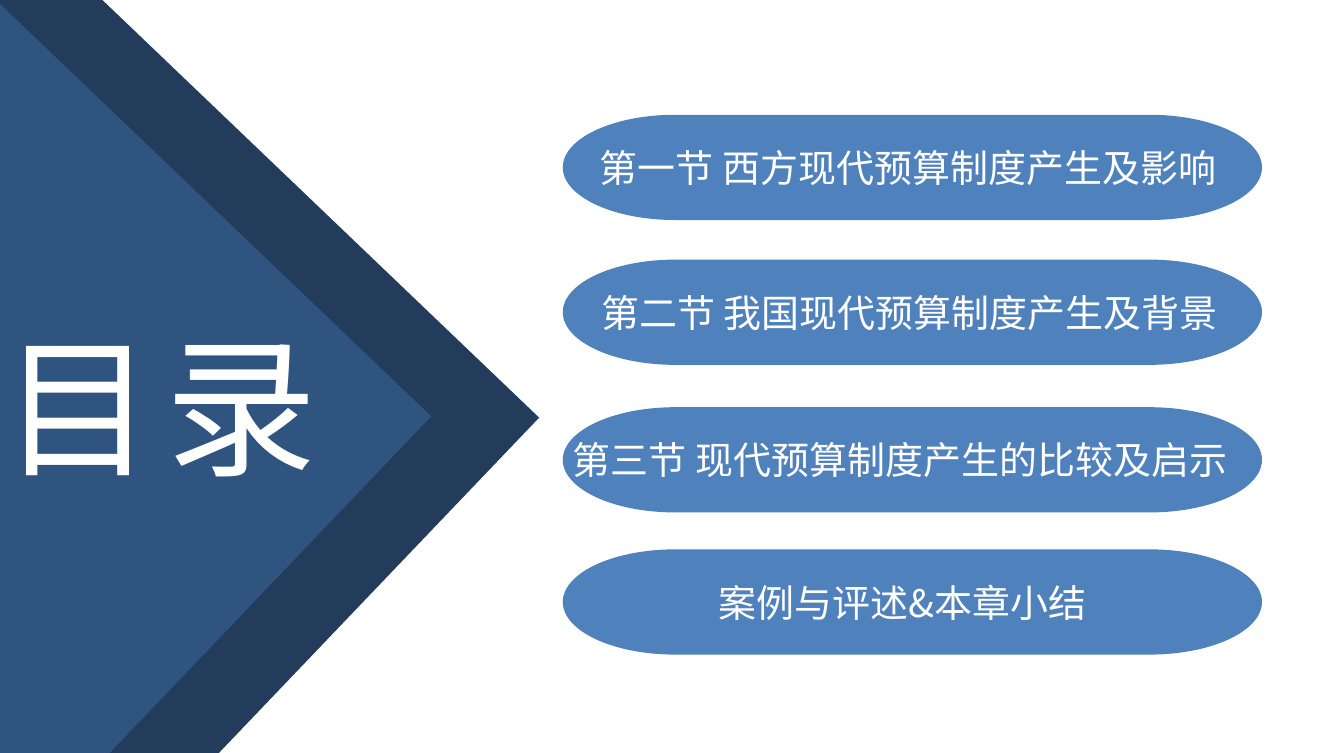
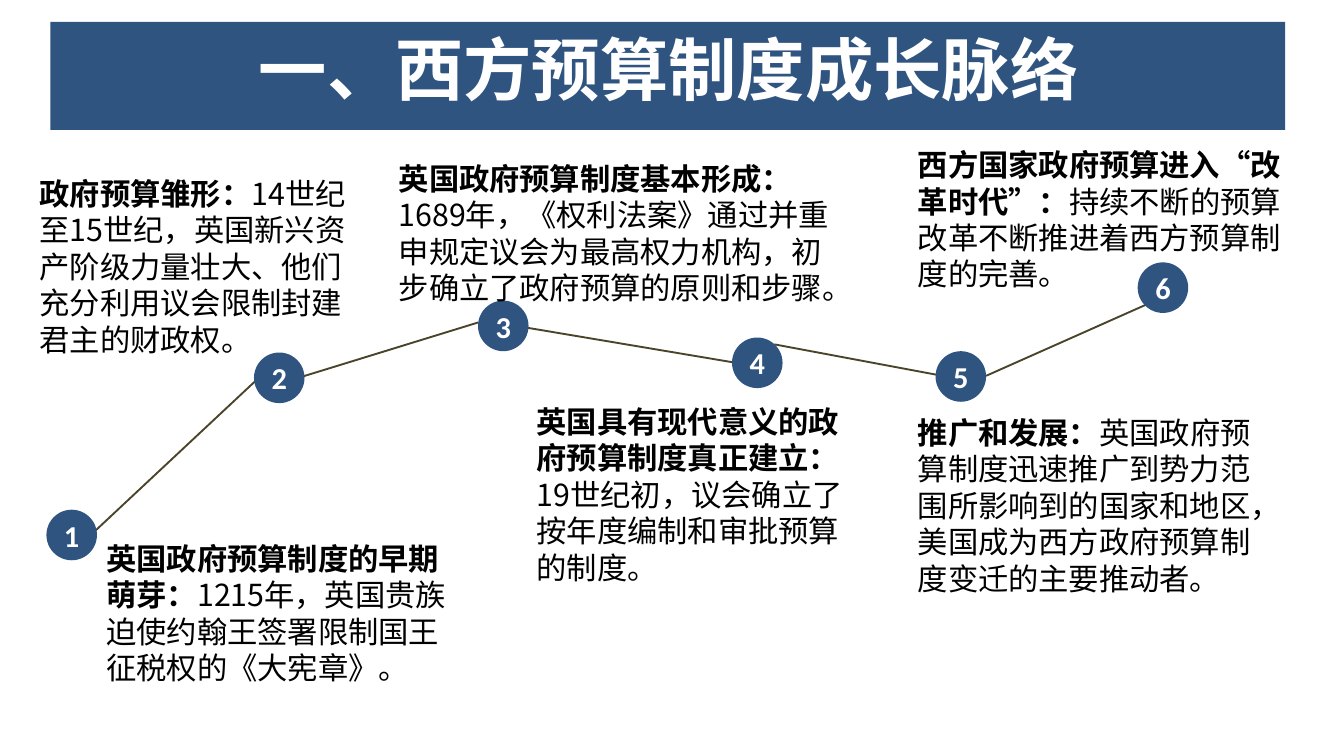
"""Builds a contents slide and a timeline slide on the growth of Western budget systems."""
import dataclasses

import lxml.etree
import pptx
import pptx.dml.color
import pptx.enum.shapes
import pptx.enum.text
import pptx.oxml.ns
import pptx.util


@dataclasses.dataclass(frozen=True)
class Theme:
    navy: str = "233C5B"
    blue: str = "305480"
    pill: str = "4F81BD"
    line: str = "4A452A"
    white: str = "FFFFFF"
    black: str = "000000"
    chinese: str = "Noto Sans CJK SC"
    heading: str = "Arial"
    digits: str = "Calibri"
    contents_size: int = 80
    title_size: int = 36
    item_size: int = 20
    text_size: int = 16


theme = Theme()
PX = 9144
SHAPE = pptx.enum.shapes.MSO_SHAPE
ALIGN = pptx.enum.text.PP_ALIGN
ANCHOR = pptx.enum.text.MSO_ANCHOR
color = pptx.dml.color.RGBColor.from_string


def add_run(paragraph, text, size, font_color, font=theme.chinese, bold=False, spacing=0):
    run = paragraph.add_run()
    run.text = text
    run.font.size = pptx.util.Pt(size)
    run.font.bold = bold
    run.font.color.rgb = color(font_color)
    run.font.name = font
    properties = run._r.get_or_add_rPr()
    properties.set("lang", "zh-CN")
    if spacing:
        properties.set("spc", str(spacing * 100))
    east_asian = lxml.etree.SubElement(properties, pptx.oxml.ns.qn("a:ea"))
    east_asian.set("typeface", theme.chinese)


def add_filled(slide, kind, box, fill):
    shape = slide.shapes.add_shape(kind, *[value * PX for value in box])
    shape.shadow.inherit = False
    shape.fill.solid()
    shape.fill.fore_color.rgb = color(fill)
    shape.line.fill.background()
    frame = shape.text_frame
    frame.word_wrap = False
    frame.vertical_anchor = ANCHOR.MIDDLE
    frame.margin_left = frame.margin_right = frame.margin_top = frame.margin_bottom = 0
    frame.paragraphs[0].alignment = ALIGN.CENTER
    return shape


presentation = pptx.Presentation()
presentation.slide_width = 984 * PX
presentation.slide_height = 551 * PX
title_only = presentation.slide_layouts[5]
contents = presentation.slides.add_slide(title_only)
timeline = presentation.slides.add_slide(title_only)

for left, top, fill in [(-537, -68, theme.navy), (-616, -69, theme.blue)]:
    diamond = add_filled(contents, SHAPE.RECTANGLE, (left, top, 772, 772), fill)
    diamond.rotation = 43.7

items = [
    (84, 6, "第一节 西方现代预算制度产生及影响"),
    (190, 4, "第二节 我国现代预算制度产生及背景"),
    (298, 18, "第三节 现代预算制度产生的比较及启示"),
    (402, 15, "案例与评述&本章小结"),
]
for top, margin, item in items:
    pill = add_filled(contents, SHAPE.FLOWCHART_TERMINATOR, (412, top, 512, 77), theme.pill)
    pill.text_frame.margin_right = margin * PX
    add_run(pill.text_frame.paragraphs[0], item, theme.item_size, theme.white)

add_filled(timeline, SHAPE.RECTANGLE, (37, 16, 904, 79), theme.blue)

links = [
    (67, 391, 190, 276),
    (220, 276, 350, 236),
    (381, 239, 536, 265),
    (567, 252, 690, 275),
    (722, 275, 839, 223),
]
for ends in links:
    link = timeline.shapes.add_connector(
        pptx.enum.shapes.MSO_CONNECTOR.STRAIGHT, *[value * PX for value in ends])
    link.line.color.rgb = color(theme.line)
    link.line.width = pptx.util.Pt(1)
    lxml.etree.SubElement(link._element.spPr, pptx.oxml.ns.qn("a:effectLst"))

milestones = [
    ((34, 373), (71, 391, 264, 115), "英国政府预算制度的早期萌芽：",
     "1215年，英国贵族迫使约翰王签署限制国王征税权的《大宪章》。"),
    ((186, 258), (22, 124, 255, 142), "政府预算雏形：",
     "14世纪至15世纪，英国新兴资产阶级力量壮大、他们充分利用议会限制封建君主的财政权。"),
    ((350, 220), (285, 113, 343, 115), "英国政府预算制度基本形成：",
     "1689年，《权利法案》通过并重申规定议会为最高权力机构，初步确立了政府预算的原则和步骤。"),
    ((536, 247), (386, 291, 255, 142), "英国具有现代意义的政府预算制度真正建立：",
     "19世纪初，议会确立了按年度编制和审批预算的制度。"),
    ((685, 257), (665, 299, 276, 142), "推广和发展：",
     "英国政府预算制度迅速推广到势力范围所影响到的国家和地区，美国成为西方政府预算制度变迁的主要推动者。"),
    ((833, 192), (665, 103, 292, 115), "西方国家政府预算进入“改革时代”：",
     "持续不断的预算改革不断推进着西方预算制度的完善。"),
]
for number, (corner, box, heading, detail) in enumerate(milestones, 1):
    circle = add_filled(timeline, SHAPE.OVAL, (*corner, 37, 37), theme.blue)
    add_run(circle.text_frame.paragraphs[0], str(number), theme.text_size, theme.white, theme.digits, True)

    frame = timeline.shapes.add_textbox(*[value * PX for value in box]).text_frame
    frame.word_wrap = True
    frame.margin_left = frame.margin_right = 7 * PX
    frame.margin_top = frame.margin_bottom = 4 * PX
    paragraph = frame.paragraphs[0]
    add_run(paragraph, heading, theme.text_size, theme.black, bold=True)
    add_run(paragraph, detail, theme.text_size, theme.black)

titles = [
    (contents, (-5, 225, 317, 142), "目录", theme.contents_size, theme.chinese, False, 6, ALIGN.LEFT),
    (timeline, (105, 16, 769, 68), "一、西方预算制度成长脉络", theme.title_size, theme.heading, True, 0,
     ALIGN.CENTER),
]
for slide, box, text, size, font, bold, spacing, alignment in titles:
    title = slide.shapes.title
    title.left, title.top, title.width, title.height = [value * PX for value in box]
    title.element.getparent().append(title.element)
    frame = title.text_frame
    frame.word_wrap = True
    frame.auto_size = pptx.enum.text.MSO_AUTO_SIZE.NONE
    frame.vertical_anchor = ANCHOR.TOP
    frame.margin_left = frame.margin_right = 7 * PX
    frame.margin_top = frame.margin_bottom = 4 * PX
    paragraph = frame.paragraphs[0]
    paragraph.alignment = alignment
    add_run(paragraph, text, size, theme.white, font, bold, spacing)

presentation.save("out.pptx")
